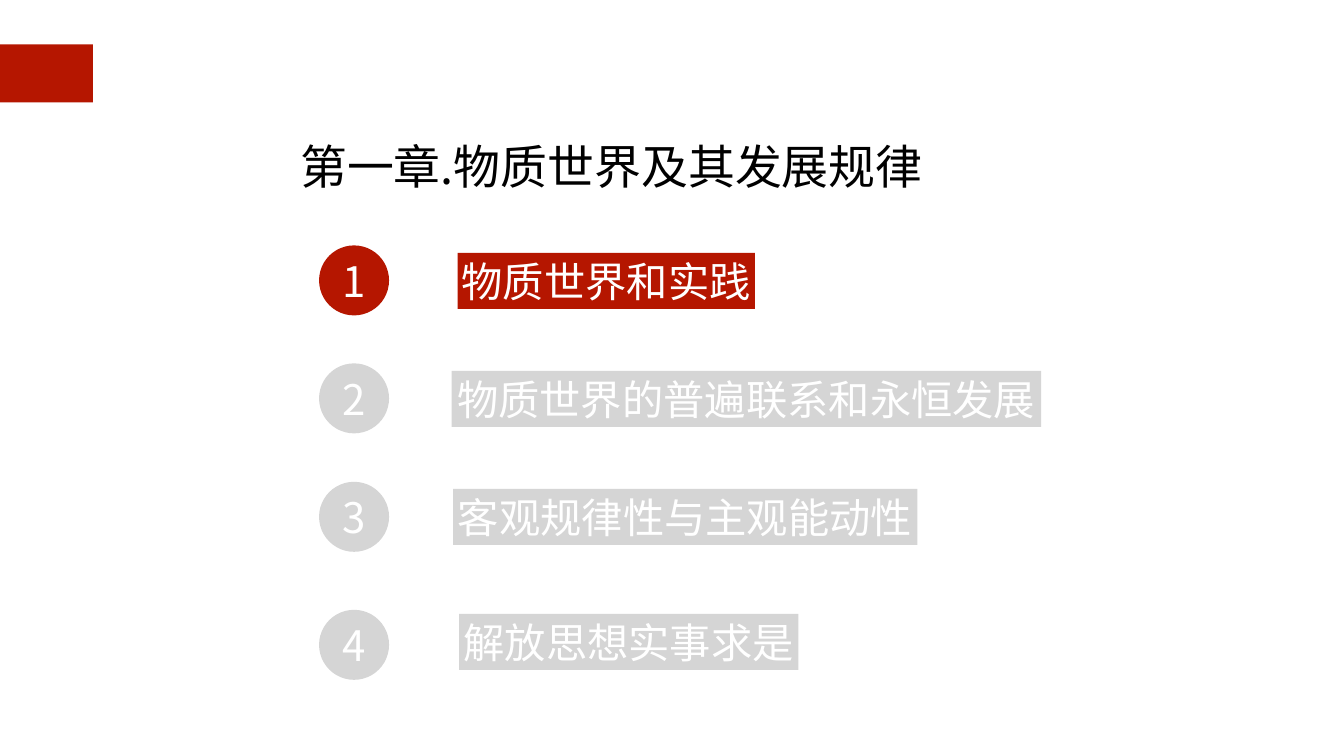
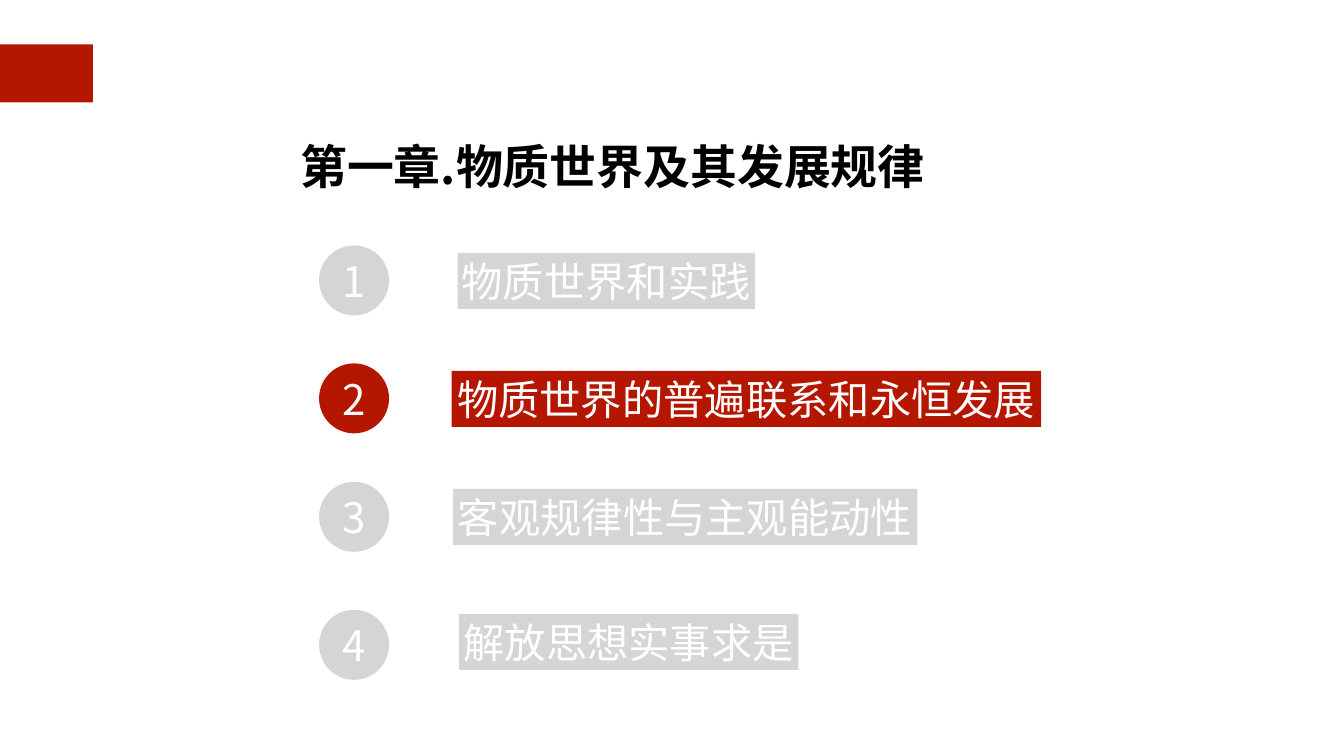
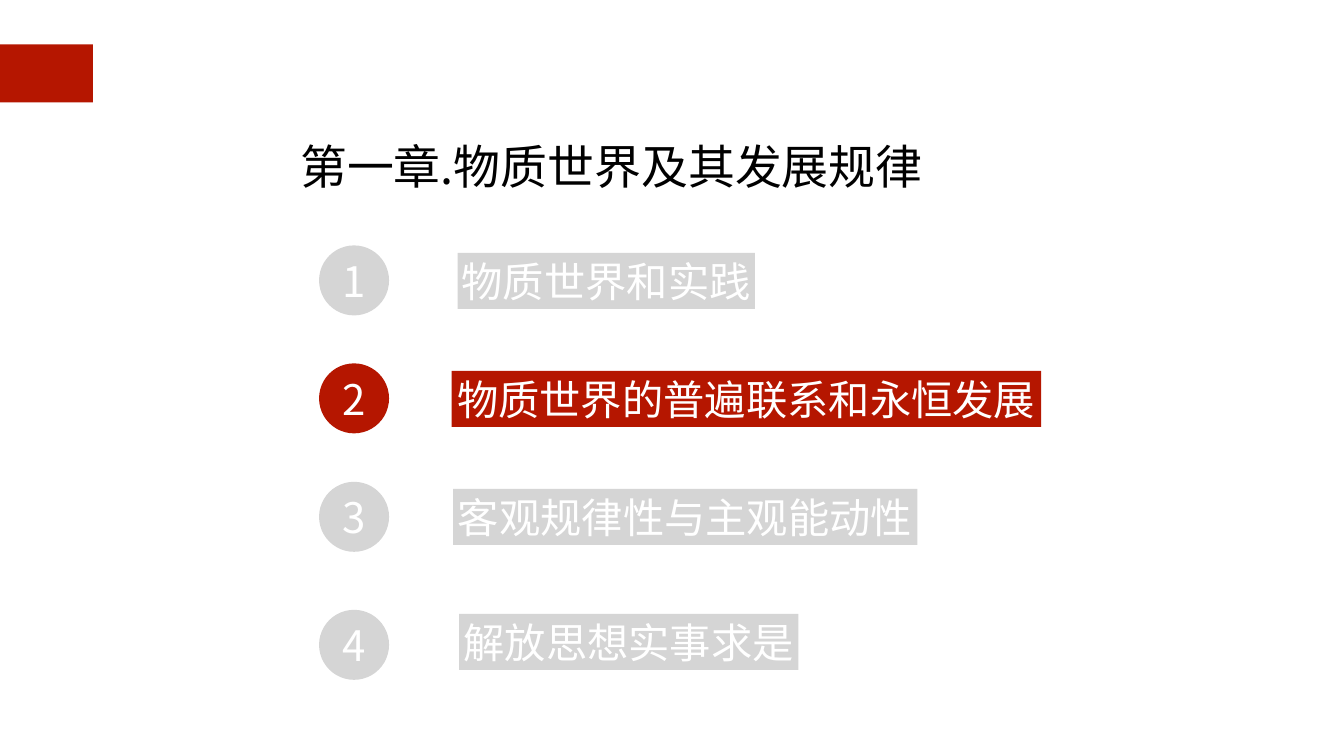
"""Build three chapter agenda slides, each highlighting the current section."""
from dataclasses import dataclass

from lxml import etree
from pptx import Presentation
from pptx.dml.color import RGBColor
from pptx.enum import shapes, text
from pptx.oxml import ns
from pptx.util import Pt

CHAPTER = "第一章.物质世界及其发展规律"
SECTIONS = [
    {"label": "物质世界和实践", "left": 653.8, "width": 424.8, "top": 361.4, "circle_top": 350.6},
    {"label": "物质世界的普遍联系和永恒发展", "left": 645.1, "width": 842.4, "top": 529.9, "circle_top": 519.1},
    {"label": "客观规律性与主观能动性", "left": 647.3, "width": 663.1, "top": 698.4, "circle_top": 688.3},
    {"label": "解放思想实事求是", "left": 655.9, "width": 484.6, "top": 877, "circle_top": 871.2},
]
PAGES = [
    {"current": 1, "bold_title": False, "title_width": 903.6},
    {"current": 2, "bold_title": True, "title_width": 907.2},
    {"current": 2, "bold_title": False, "title_width": 903.6},
]


@dataclass(frozen=True)
class Theme:
    font: str = "Noto Sans CJK SC"
    active: str = "B51600"
    muted: str = "D5D5D5"
    dark: str = "000000"
    light: str = "FFFFFF"
    title_size: int = 67
    label_size: int = 59
    number_size: int = 60
    inset: float = 4
    title_spacing: float = 1.5


THEME = Theme()
SLIDE_SIZE = (1920, 1080)
BAND = (-2, 63.4, 134.6, 82.8)
TITLE_LEFT, TITLE_TOP, TITLE_HEIGHT = 424.8, 158.4, 115.2
CIRCLE_LEFT, CIRCLE_SIZE = 455.8, 100
LABEL_HEIGHT = 80


def add_block(page, kind, place, color):
    block = page.shapes.add_shape(kind, *map(Pt, place))
    block.shadow.inherit = False
    block.fill.solid()
    block.fill.fore_color.rgb = RGBColor.from_string(color)
    block.line.fill.background()
    return block


def write(box, words, size, color, inset=THEME.inset, wrap=False, grow=True,
          align=text.PP_ALIGN.CENTER, bold=False, spacing=None):
    frame = box.text_frame
    frame.margin_left = frame.margin_right = Pt(inset)
    frame.margin_top = frame.margin_bottom = Pt(inset)
    frame.vertical_anchor = text.MSO_ANCHOR.MIDDLE
    frame.word_wrap = wrap
    frame.auto_size = (text.MSO_AUTO_SIZE.SHAPE_TO_FIT_TEXT if grow
                       else text.MSO_AUTO_SIZE.NONE)
    para = frame.paragraphs[0]
    para.text = words
    para.alignment = align
    para.line_spacing = spacing
    para.font.size = Pt(size)
    para.font.bold = bold
    para.font.color.rgb = RGBColor.from_string(color)
    para.font.name = THEME.font
    defaults = para._p.pPr.find(ns.qn("a:defRPr"))
    etree.SubElement(defaults, ns.qn("a:ea"), typeface=THEME.font)


def add_title(page, width, bold):
    box = page.shapes.add_textbox(*map(Pt, (TITLE_LEFT, TITLE_TOP, width, TITLE_HEIGHT)))
    write(box, CHAPTER, THEME.title_size, THEME.dark, wrap=True,
          align=text.PP_ALIGN.LEFT, bold=bold, spacing=THEME.title_spacing)


def add_section(page, number, section, color):
    label = add_block(page, shapes.MSO_SHAPE.RECTANGLE,
                      (section["left"], section["top"], section["width"], LABEL_HEIGHT), color)
    write(label, section["label"], THEME.label_size, THEME.light)
    circle = add_block(page, shapes.MSO_SHAPE.OVAL,
                       (CIRCLE_LEFT, section["circle_top"], CIRCLE_SIZE, CIRCLE_SIZE), color)
    write(circle, str(number), THEME.number_size, THEME.light, inset=0, wrap=True, grow=False)


def add_master_band(deck, page):
    band = add_block(page, shapes.MSO_SHAPE.RECTANGLE, BAND, THEME.active)
    deck.slide_master.shapes._spTree.append(band._element)


def main():
    deck = Presentation()
    deck.slide_width, deck.slide_height = map(Pt, SLIDE_SIZE)
    for index, plan in enumerate(PAGES):
        page = deck.slides.add_slide(deck.slide_layouts[6])
        if index == 0:
            add_master_band(deck, page)
        add_title(page, plan["title_width"], plan["bold_title"])
        for number, section in enumerate(SECTIONS, 1):
            color = THEME.active if number == plan["current"] else THEME.muted
            add_section(page, number, section, color)
    deck.save("out.pptx")


if __name__ == "__main__":
    main()
